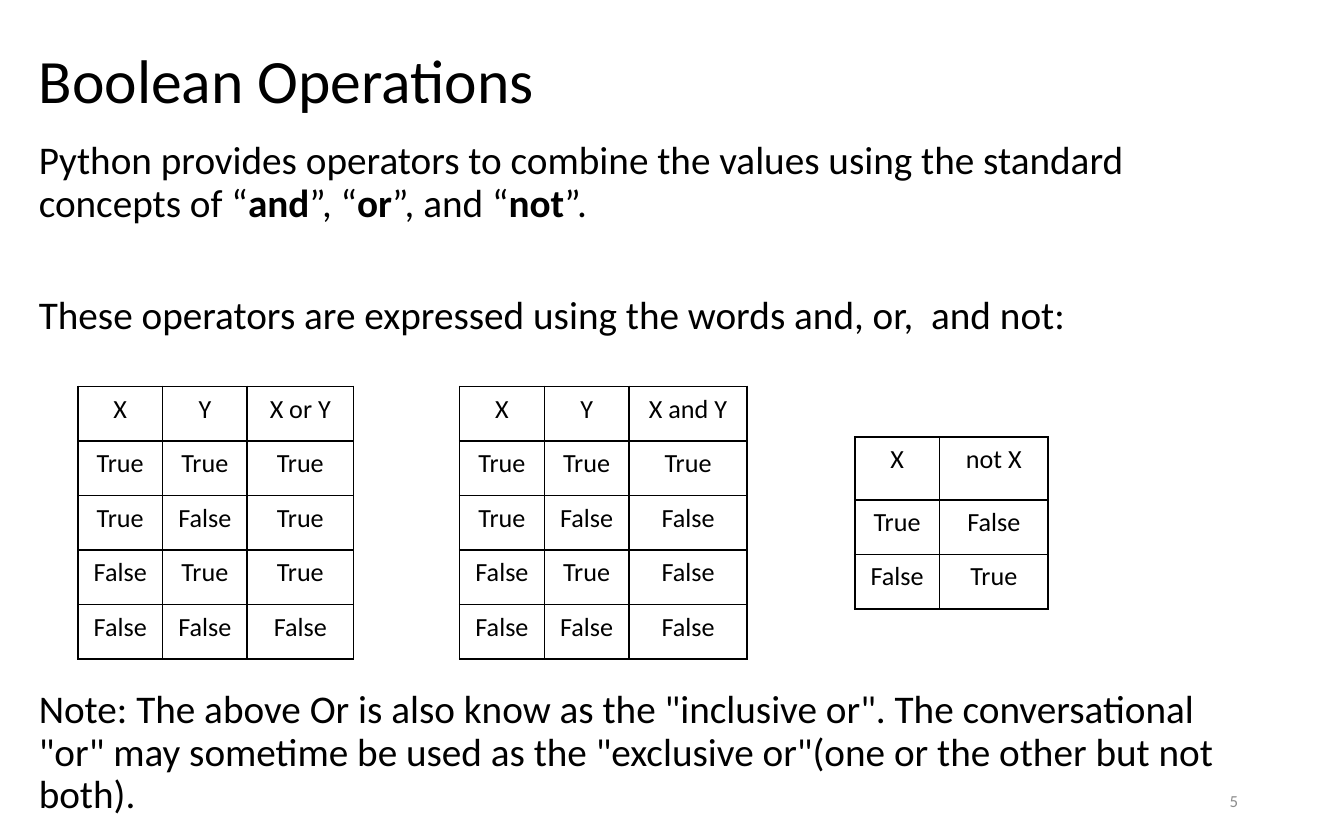
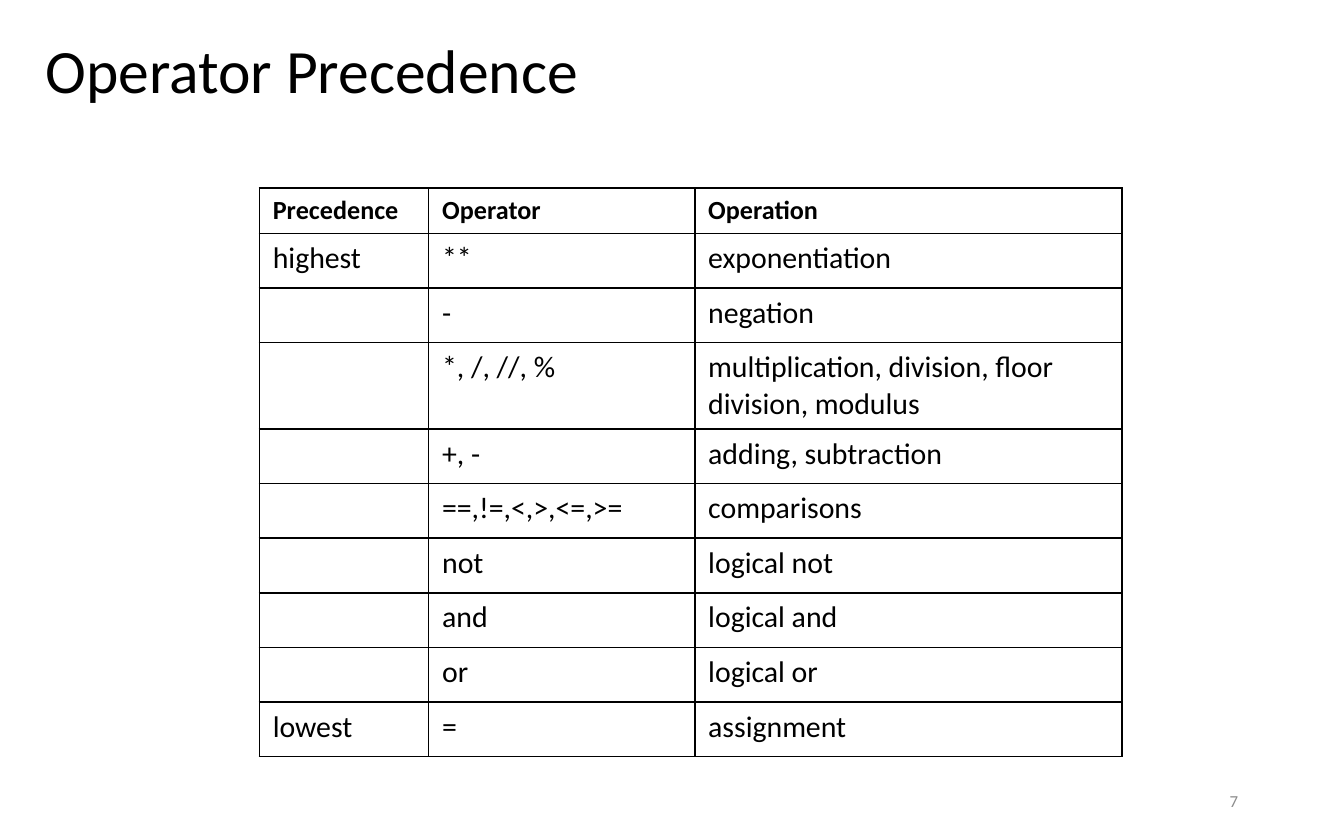
import itertools
import pptx
import pptx.util
import pptx.dml.color
import pptx.enum.text
import pptx.oxml
import pptx.oxml.ns

Pt = pptx.util.Pt
ANCHOR = pptx.enum.text.MSO_ANCHOR
ALIGN = pptx.enum.text.PP_ALIGN
BLACK = pptx.dml.color.RGBColor(0x00, 0x00, 0x00)
GREY = pptx.dml.color.RGBColor(0x8C, 0x8C, 0x8C)
FONT = "Calibri"

# The slide is a grid of 100 columns by 100 rows
WIDTH, HEIGHT = pptx.util.Inches(10), pptx.util.Inches(6.25)
ROW = 6.5  # usual height of a table row


def cols(count):
    return round(WIDTH * count / 100)


def rows(count):
    return round(HEIGHT * count / 100)


def style(para, size, color=BLACK, bold=None, align=None):
    font = para.font
    font.name, font.size, font.bold = FONT, Pt(size), bold
    font.color.rgb = color
    para.alignment = align


def add_box(slide, box, anchor=ANCHOR.TOP):
    left, top, width, height = box
    shape = slide.shapes.add_textbox(
        cols(left), rows(top), cols(width), rows(height))
    frame = shape.text_frame
    frame.word_wrap = True
    frame.vertical_anchor = anchor
    return frame


def add_title(slide, left, top, text):
    para = add_box(slide, (left, top, 77.1, 12), ANCHOR.MIDDLE).paragraphs[0]
    para.text = text
    para.line_spacing = 0.9
    style(para, 33)


def add_number(slide, number):
    box = (70.6, 92.7, 22.5, 5.3)
    para = add_box(slide, box, ANCHOR.MIDDLE).paragraphs[0]
    para.text = str(number)
    style(para, 9, GREY, align=ALIGN.RIGHT)


def add_body(slide, box, paras):
    """Each paragraph is (space before, texts); every second text is bold."""
    frame = add_box(slide, box)
    for index, (space, texts) in enumerate(paras):
        para = frame.add_paragraph() if index else frame.paragraphs[0]
        para.line_spacing = 0.9
        para.space_before = Pt(space)
        style(para, 21)
        for place, text in enumerate(texts):
            run = para.add_run()
            run.text = text
            if place % 2:
                run.font.bold = True


def add_borders(cell):
    props = cell._tc.get_or_add_tcPr()
    for index, side in enumerate(("lnL", "lnR", "lnT", "lnB")):
        line = pptx.oxml.parse_xml(
            f'<a:{side} {pptx.oxml.ns.nsdecls("a")} w="{Pt(1)}">'
            f'<a:solidFill><a:srgbClr val="{BLACK}"/></a:solidFill></a:{side}>')
        props.insert(index, line)


def add_grid(slide, left, top, widths, heights, cells, head, size=14,
             bold=None, align=None):
    """Draw the header row in 14 pt and the other rows in the given size."""
    lines = [head] + cells
    table = slide.shapes.add_table(
        len(lines), len(head), cols(left), rows(top),
        cols(sum(widths)), rows(sum(heights))).table
    table.first_row = table.horz_banding = False
    for column, width in zip(table.columns, widths):
        column.width = cols(width)
    for index, (line, height) in enumerate(zip(lines, heights)):
        table.rows[index].height = rows(height)
        for place, text in enumerate(line):
            cell = table.cell(index, place)
            cell.text = text
            cell.fill.background()
            add_borders(cell)
            para = cell.text_frame.paragraphs[0]
            if index:
                style(para, size, align=align)
            else:
                style(para, 14, bold=bold, align=align)


def add_truth(slide, left, top, names, last, rule, first=ROW):
    """List every mix of values with the result of the rule."""
    cells = [[str(value) for value in (*mix, rule(*mix))]
             for mix in itertools.product((True, False), repeat=len(names) - 1)]
    add_grid(slide, left, top, [6.3] * (len(names) - 1) + [last],
             [first] + [ROW] * len(cells), cells, names, align=ALIGN.CENTER)


def add_boolean(slide):
    add_title(slide, 1.9, 4, "Boolean Operations")
    add_body(slide, (1.9, 16, 91.5, 84), [
        (0, ["Python provides operators to combine the values using the "
             "standard concepts of “", "and", "”, “", "or", "”, and “", "not",
             "”."]),
        (37.7, ["These operators are expressed using the words and, or,  "
                "and not:"]),
        (188.3, ['Note: The above Or is also know as the "inclusive or". The '
                 'conversational "or" may sometime be used as the "exclusive '
                 'or"(one or the other but not both).']),
    ])
    # Truth tables
    add_truth(slide, 5.8, 46, ["X", "Y", "X or Y"], 7.9, lambda x, y: x or y)
    add_truth(slide, 34.2, 46, ["X", "Y", "X and Y"], 8.8, lambda x, y: x and y)
    add_truth(slide, 63.6, 52, ["X", "not X"], 8.1, lambda x: not x, 7.5)
    add_number(slide, 5)


def add_order(slide):
    add_title(slide, 2.4, 2.7, "Operator Precedence")
    pairs = [
        ("**", "exponentiation"),
        ("-", "negation"),
        ("*, /, //, %", "multiplication, division, floor division, modulus"),
        ("+, -", "adding, subtraction"),
        ("==,!=,<,>,<=,>=", "comparisons"),
        ("not", "logical not"),
        ("and", "logical and"),
        ("or", "logical or"),
        ("=", "assignment"),
    ]
    ranks = ["highest"] + [""] * (len(pairs) - 2) + ["lowest"]
    cells = [(rank, *pair) for rank, pair in zip(ranks, pairs)]
    heights = [5.4] + [ROW] * len(cells)
    heights[3] = 10.3  # two lines of text
    add_grid(slide, 19.3, 22.4, [12.6, 19.8, 31.8], heights, cells,
             ["Precedence", "Operator", "Operation"], size=16, bold=True)
    add_number(slide, 7)


def main():
    deck = pptx.Presentation()
    deck.slide_width, deck.slide_height = WIDTH, HEIGHT
    for build in (add_boolean, add_order):
        build(deck.slides.add_slide(deck.slide_layouts[6]))
    deck.save("out.pptx")


if __name__ == "__main__":
    main()
